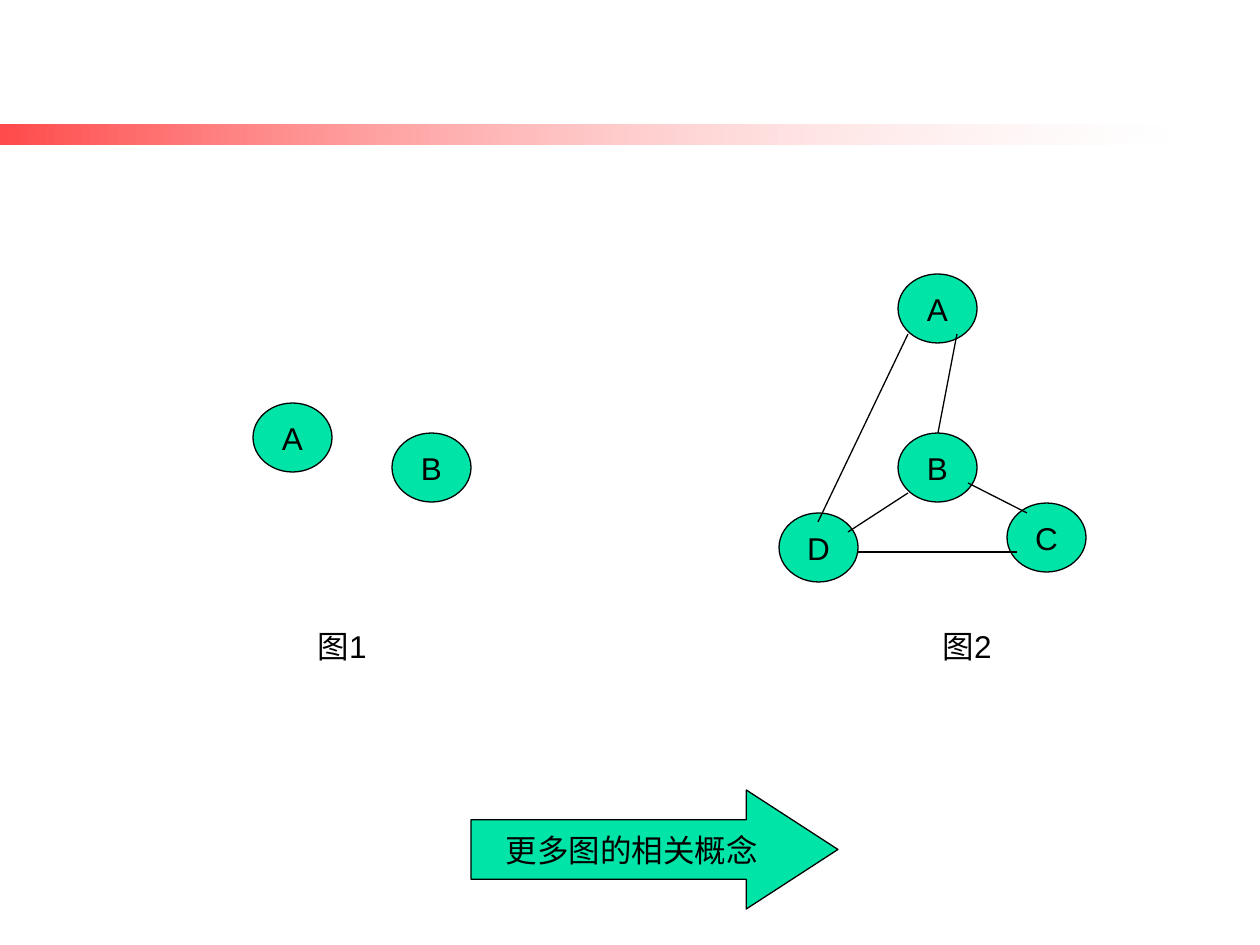
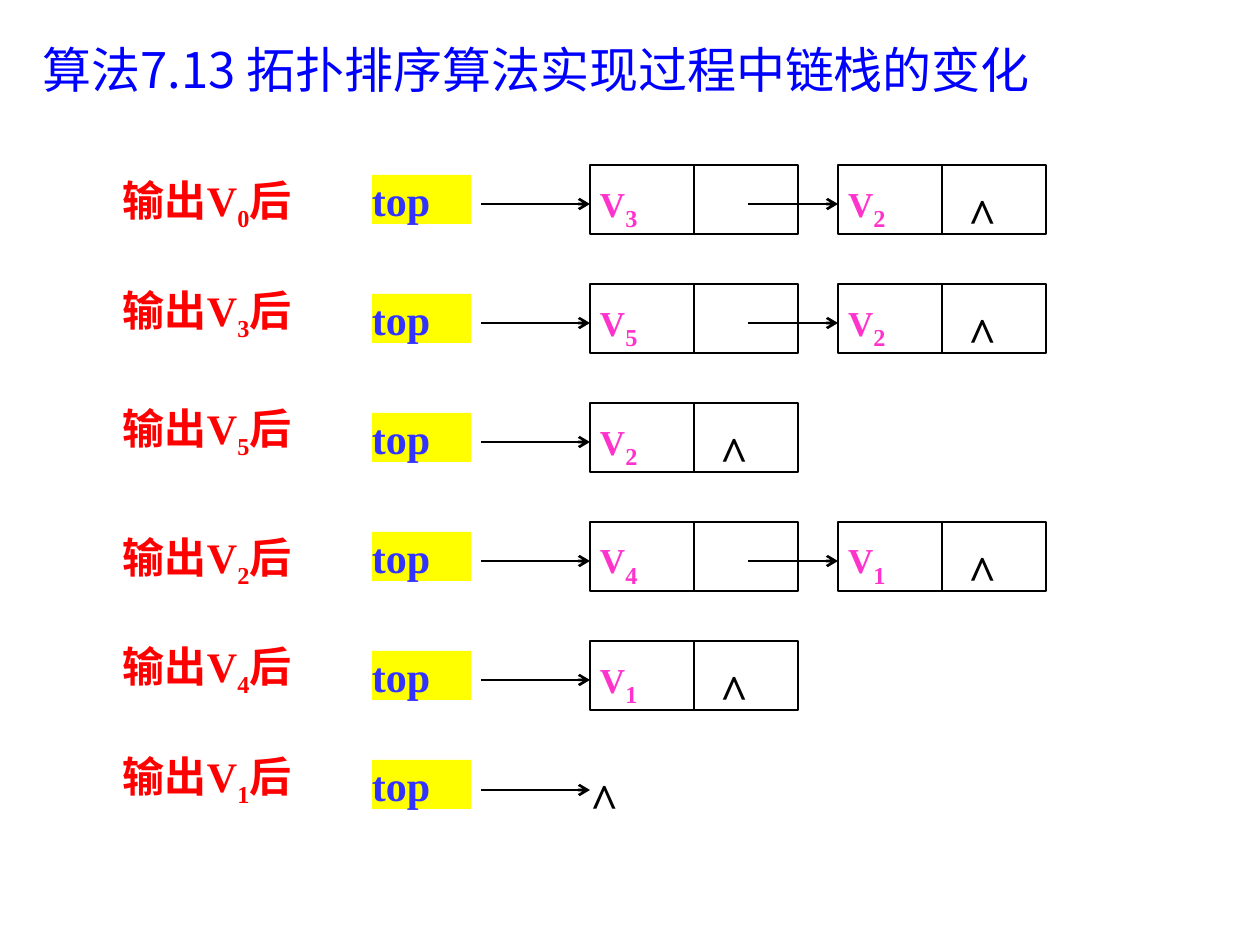
from lxml.etree import SubElement
from pptx import Presentation
from pptx.dml.color import RGBColor
from pptx.enum.shapes import MSO_CONNECTOR, MSO_SHAPE
from pptx.enum.text import MSO_ANCHOR, PP_ALIGN
from pptx.oxml.ns import qn
from pptx.util import Emu, Pt

EMU_PER_PX = 914400 / 126
BLACK, WHITE, RED = "000000", "FFFFFF", "FF0000"
GREEN, YELLOW = "00E4A8", "FFFF00"
CJK_FONT = "Noto Sans CJK SC"

GRAPH_FONT = {"size": Pt(18), "name": "Arial", "color": BLACK}
TITLE_FONT = {"size": Pt(28), "name": CJK_FONT, "color": "0000FF"}
STACK_FONT = {"size": Pt(24), "name": "Times New Roman", "bold": True}
LABEL_FONT = {**STACK_FONT, "color": RED}
TOP_FONT = {**STACK_FONT, "color": "3333FF"}
VALUE_FONT = {**STACK_FONT, "size": Pt(20), "color": "FF33CC"}
NULL_FONT = {**STACK_FONT, "size": Pt(28), "color": BLACK}
SUBSCRIPT = {"size": Pt(24), "baseline": -25000}

CENTERED = {"alignment": PP_ALIGN.CENTER}
CAPTION = {**CENTERED, "space_before": Pt(11)}
STACK_LINE = {"space_before": Pt(15)}
NULL_LINE = {"space_before": Pt(18)}

NODE_X, NODE_PITCH = 590, 248
STACK_STATES = [
    (175, "0", "32"),
    (285, "3", "52"),
    (403, "5", "2"),
    (532, "2", "41"),
    (641, "4", "1"),
    (751, "1", ""),
]


def px(n):
    return Emu(round(n * EMU_PER_PX))


def rgb(value):
    return RGBColor.from_string(value)


class Deck:
    def __init__(self):
        self.prs = Presentation()
        self.prs.slide_width, self.prs.slide_height = px(1260), px(945)
        self.s = None

    def slide(self):
        self.s = self.prs.slides.add_slide(self.prs.slide_layouts[6])
        self.s.background.fill.solid()
        self.s.background.fill.fore_color.rgb = rgb(WHITE)

    def shape(self, kind, box, fill=None, line=None, width=0.75):
        sp = self.s.shapes.add_shape(kind, *map(px, box))
        sp.shadow.inherit = False
        if fill:
            sp.fill.solid()
            sp.fill.fore_color.rgb = rgb(fill)
        else:
            sp.fill.background()
        if line:
            sp.line.color.rgb = rgb(line)
            sp.line.width = Pt(width)
        else:
            sp.line.fill.background()
        return sp

    def band(self, box):
        sp = self.shape(MSO_SHAPE.RECTANGLE, box)
        sp.fill.gradient()
        sp.fill.gradient_angle = 180
        stops = zip(sp.fill.gradient_stops, (0, 1), (WHITE, RED))
        for stop, position, color in stops:
            stop.position = position
            stop.color.rgb = rgb(color)
        colors = sp._element.spPr.iter(qn("a:srgbClr"))
        for color, alpha in zip(colors, ("18000", "71000")):
            SubElement(color, qn("a:alpha"), val=alpha)

    def fill_text(self, sp, runs, font, para, inset=(0, 0), wrap=False,
                  anchor=MSO_ANCHOR.TOP):
        tf = sp.text_frame
        x, y = map(px, inset)
        frame = {"word_wrap": wrap, "vertical_anchor": anchor,
                 "margin_left": x, "margin_right": x,
                 "margin_top": y, "margin_bottom": y}
        p = tf.paragraphs[0]
        for target, values in ((tf, frame), (p, {"alignment": PP_ALIGN.LEFT, **para})):
            for name, value in values.items():
                setattr(target, name, value)
        for text, changes in runs:
            self.add_run(p, text, {**font, **changes})

    def add_run(self, p, text, font):
        r = p.add_run()
        r.text = text
        rPr = r._r.get_or_add_rPr()
        for name, value in font.items():
            if name == "color":
                r.font.color.rgb = rgb(value)
            elif name == "baseline":
                rPr.set(name, str(value))
            else:
                setattr(r.font, name, value)
        SubElement(rPr, qn("a:ea"), typeface=CJK_FONT)

    def text(self, box, runs, font, para, **frame):
        sp = self.s.shapes.add_textbox(*map(px, box))
        self.fill_text(sp, runs, font, para, **frame)

    def line(self, start, end, width=0.75, arrow=False):
        c = self.s.shapes.add_connector(
            MSO_CONNECTOR.STRAIGHT, *map(px, (*start, *end)))
        c.line.color.rgb = rgb(BLACK)
        c.line.width = Pt(width)
        if arrow:
            SubElement(c.line._get_or_add_ln(), qn("a:tailEnd"), type="arrow")
        SubElement(c._element.spPr, qn("a:effectLst"))

    def green(self, kind, box, text):
        sp = self.shape(kind, box, GREEN, BLACK)
        self.fill_text(sp, [(text, {})], GRAPH_FONT, CENTERED,
                       inset=(13, 6), anchor=MSO_ANCHOR.MIDDLE)
        return sp

    def null(self, x, y):
        self.text((x, y, 59, 39), [("^", {})], NULL_FONT, NULL_LINE)

    def list_node(self, x, y, value):
        self.shape(MSO_SHAPE.RECTANGLE, (x, y, 208, 69), line=BLACK, width=1)
        self.line((x + 104, y), (x + 104, y + 69), 1)
        self.text((x + 10, y + 10, 59, 59), [("V", {}), (value, SUBSCRIPT)],
                  VALUE_FONT, STACK_LINE)


def graph_slide(deck):
    deck.slide()
    deck.band((0, 125, 1171, 20))
    vertices = [("A", 253, 403), ("B", 392, 433), ("A", 898, 274),
                ("D", 779, 513), ("C", 1007, 503), ("B", 898, 433)]
    for name, x, y in vertices:
        deck.green(MSO_SHAPE.OVAL, (x, y, 79, 69), name)
    edges = [((908, 334), (818, 522)), ((858, 552), (1017, 552)),
             ((968, 483), (1027, 513)), ((938, 433), (957, 334)),
             ((908, 493), (848, 532))]
    for start, end in edges:
        deck.line(start, end)
    for caption, x in (("图1", 233), ("图2", 858)):
        deck.text((x, 621, 218, 50), [(caption, {})], GRAPH_FONT, CAPTION,
                  inset=(13, 6), wrap=True)
    sp = deck.green(MSO_SHAPE.RIGHT_ARROW, (471, 790, 367, 119), "更多图的相关概念")
    sp.adjustments[0], sp.adjustments[1] = 0.5, 0.77


def stack_slide(deck):
    deck.slide()
    deck.text((30, 45, 1047, 61),
              [("算法7.13 拓扑排序算法实现过程中链栈的变化", {})],
              TITLE_FONT, {"line_spacing": 0.8}, inset=(13, 6), wrap=True)
    for i, (label_y, output, values) in enumerate(STACK_STATES):
        y = 175 + 119 * i - (0 if values else 10)
        deck.text((123, label_y, 189, 49),
                  [("输出V", {}), (output, SUBSCRIPT), ("后", {})],
                  LABEL_FONT, STACK_LINE)
        sp = deck.shape(MSO_SHAPE.RECTANGLE, (372, y, 99, 49), YELLOW)
        deck.fill_text(sp, [("top", {})], TOP_FONT, STACK_LINE)
        arrow_x = 481
        for n, value in enumerate(values):
            x = NODE_X + NODE_PITCH * n
            deck.list_node(x, y - 10, value)
            deck.line((arrow_x, y + 29), (x, y + 29), 1.5, True)
            arrow_x = x + 158
        if values:
            deck.null(x + 130, y + 10)
        else:
            deck.line((arrow_x, y + 30), (NODE_X, y + 30), 1.5, True)
            deck.null(NODE_X, y + 10)


def main():
    deck = Deck()
    graph_slide(deck)
    stack_slide(deck)
    deck.prs.save("out.pptx")


if __name__ == "__main__":
    main()
